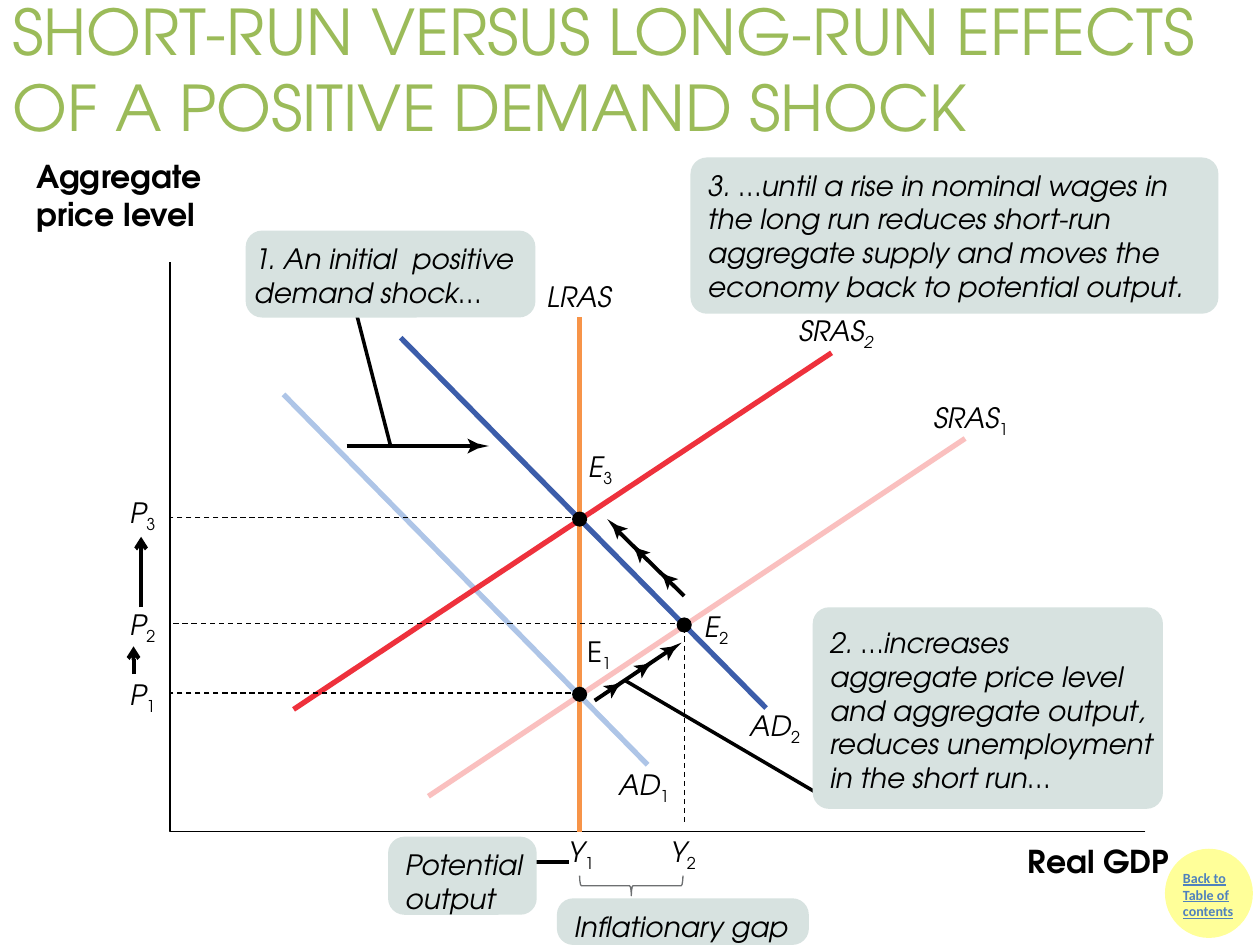
from collections import namedtuple
from math import atan2, cos, sin

from lxml.etree import SubElement
from pptx import Presentation
from pptx.dml.color import RGBColor
from pptx.enum.dml import MSO_LINE
from pptx.enum.shapes import MSO_CONNECTOR, MSO_SHAPE as Preset
from pptx.enum.text import MSO_ANCHOR as Anchor, MSO_AUTO_SIZE as AutoSize
from pptx.oxml.ns import qn
from pptx.util import Inches, Pt

BLACK = RGBColor(0x00, 0x00, 0x00)
GREEN = RGBColor(0x9B, 0xBB, 0x59)
LINK_BLUE = RGBColor(0x4F, 0x81, 0xBD)
YELLOW = RGBColor(0xFF, 0xFF, 0x99)
CALLOUT = RGBColor(0xD7, 0xE2, 0xE0)
ORANGE = RGBColor(0xF7, 0x94, 0x48)
PALE_BLUE = RGBColor(0xAE, 0xC5, 0xE7)
BLUE = RGBColor(0x3C, 0x5D, 0xAA)
PALE_RED = RGBColor(0xFA, 0xC0, 0xBF)
RED = RGBColor(0xEE, 0x31, 0x3C)
GREY = RGBColor(0x6D, 0x6F, 0x71)
FONT = "TeX Gyre Adventor"

Box = namedtuple("Box", "left top width height")


def inside(box, x, y, width=0, height=0):
    return Box(box.left + x, box.top + y, width, height)


def lengths(box):
    return [Inches(value) for value in box]


def add_span(para, text, size=16, color=BLACK, font=FONT, bold=False,
             italic=False, underline=False, subscript=False):
    span = para.add_run()
    span.text = text
    span.font.name = font
    span.font.size = Pt(size)
    span.font.color.rgb = color
    span.font.bold = bold
    span.font.italic = italic
    span.font.underline = underline
    if subscript:
        span.font._element.set("baseline", "-25000")


def add_text(page, box, text, grow=True, anchor=Anchor.TOP, **style):
    shape = page.shapes.add_textbox(*lengths(box))
    frame = shape.text_frame
    frame.word_wrap = True
    frame.auto_size = AutoSize.SHAPE_TO_FIT_TEXT if grow else AutoSize.NONE
    frame.vertical_anchor = anchor
    add_span(frame.paragraphs[0], text, **style)


def add_label(page, box, text, subscript="", italic=True, italic_sub=False):
    frame = page.shapes.add_textbox(*lengths(box)).text_frame
    frame.word_wrap = False
    frame.auto_size = AutoSize.SHAPE_TO_FIT_TEXT
    frame.margin_left = frame.margin_right = 0
    frame.margin_top = frame.margin_bottom = 0
    para = frame.paragraphs[0]
    add_span(para, text, italic=italic)
    if subscript:
        add_span(para, subscript, italic=italic_sub, subscript=True)


def add_line(page, box, start, end, color=BLACK, width=0, dashed=False, arrow=False):
    first, last = inside(box, *start), inside(box, *end)
    line = page.shapes.add_connector(
        MSO_CONNECTOR.STRAIGHT, Inches(first.left), Inches(first.top),
        Inches(last.left), Inches(last.top))
    line.line.color.rgb = color
    line.line.width = Pt(width)
    if dashed:
        line.line.dash_style = MSO_LINE.DASH
    if arrow:
        SubElement(line.line._get_or_add_ln(), qn("a:tailEnd"), type="arrow")
    SubElement(line._element.spPr, qn("a:effectLst"))


def add_solid(page, kind, box, color):
    shape = page.shapes.add_shape(kind, *lengths(box))
    shape.shadow.inherit = False
    shape.fill.solid()
    shape.fill.fore_color.rgb = color
    shape.line.fill.background()
    return shape


def add_path(page, points, closed):
    corners = [(Inches(x), Inches(y)) for x, y in points]
    builder = page.shapes.build_freeform(*corners[0])
    builder.add_line_segments(corners[1:], close=closed)
    shape = builder.convert_to_shape()
    shape.shadow.inherit = False
    return shape


def add_barbed_arrow(page, box, start, end, tips):
    add_line(page, box, start, end, width=2.25)
    angle = atan2(end[1] - start[1], end[0] - start[0])
    outline = [(0, 0), (-0.09, 0.02), (-0.17, 0.06), (-0.14, 0),
               (-0.17, -0.06), (-0.09, -0.02)]
    for tip in tips:
        origin = inside(box, *tip)
        head = add_path(page, [(origin.left + x * cos(angle) - y * sin(angle),
                                origin.top + x * sin(angle) + y * cos(angle))
                               for x, y in outline], True)
        head.fill.solid()
        head.fill.fore_color.rgb = BLACK
        head.line.fill.background()


def add_callout(page, box, lines, left=0.1, top=0.05, right=0.03, numbered=False):
    shape = add_solid(page, Preset.ROUNDED_RECTANGLE, box, CALLOUT)
    shape.adjustments[0] = 0.13 / min(box.width, box.height)
    frame = shape.text_frame
    frame.word_wrap = True
    frame.vertical_anchor = Anchor.TOP
    frame.margin_left, frame.margin_right = Inches(left), Inches(right)
    frame.margin_top, frame.margin_bottom = Inches(top), 0
    for index, text in enumerate(lines):
        para = frame.add_paragraph() if index else frame.paragraphs[0]
        props = para._p.get_or_add_pPr()
        props.set("algn", "l")
        if numbered:
            props.set("marL", str(Inches(0.06)))
            props.set("indent", str(Inches(-0.06)))
            if index == 0:
                SubElement(props, qn("a:buAutoNum"), type="arabicPeriod")
        add_span(para, text, italic=True)


def draw_badge(page, box):
    disc = add_solid(page, Preset.OVAL, box, YELLOW)
    disc.line.color.rgb = YELLOW
    disc.line.width = Pt(2)
    add_text(page, inside(box, 0.03, 0.1, 0.72, 0.67), "Back to Table of contents",
             size=8, color=LINK_BLUE, font="Calibri", bold=True, underline=True)


def draw_axes(page, box):
    bottom = box.top + box.height
    axes = add_path(page, [(box.left + box.width, bottom), (box.left, bottom),
                           (box.left, box.top)], False)
    axes.fill.background()
    axes.line.color.rgb = BLACK
    axes.line.width = Pt(0)
    add_text(page, inside(box, 6.71, 4.55, 1.58, 0.4), "Real GDP", size=18, bold=True)
    add_text(page, inside(box, -1.16, -0.88, 1.69, 0.7), "Aggregate price level",
             size=18, bold=True)


def draw_curves(page, box):
    curves = [
        ("LRAS", "", ORANGE, (3.25, 0.44), (3.25, 4.52), (2.99, 0.14, 0.56, 0.27)),
        ("AD", "1", PALE_BLUE, (3.79, 3.99), (0.9, 1.05), (3.56, 4.01, 0.45, 0.27)),
        ("SRAS", "1", PALE_RED, (2.05, 4.24), (6.31, 1.4), (6.06, 1.1, 0.64, 0.27)),
        ("SRAS", "2", RED, (0.98, 3.55), (5.25, 0.72), (4.99, 0.41, 0.64, 0.27)),
        ("AD", "2", BLUE, (4.73, 3.54), (1.83, 0.6), (4.6, 3.54, 0.45, 0.27)),
    ]
    for name, number, color, start, end, place in curves:
        add_line(page, box, start, end, color, 3)
        add_label(page, inside(box, *place), name, number,
                  italic_sub=color == RED)


def draw_equilibria(page, box):
    points = [("1", 3.25, 3.43, 3.31, 2.96, 3.3), ("2", 4.08, 2.88, 4.24, 2.76, 2.74),
              ("3", 3.25, 2.04, 3.32, 1.49, 1.85)]
    for number, x, y, label_x, label_y, price_y in points:
        add_line(page, box, (x, y - 0.01), (0, y - 0.01), width=0.75, dashed=True)
        add_label(page, inside(box, label_x, label_y, 0.23, 0.27), "E", number,
                  italic=number != "1")
        add_label(page, inside(box, -0.32, price_y, 0.25, 0.27), "P", number)
    add_line(page, box, (4.08, 2.9), (4.08, 4.47), width=0.75, dashed=True)
    for number, x in (("1", 3.16), ("2", 3.97)):
        add_label(page, inside(box, x, 4.54, 0.25, 0.27), "Y", number)
    for number, x, y, *_ in points:
        add_solid(page, Preset.OVAL, inside(box, x - 0.06, y - 0.06, 0.12, 0.12), BLACK)


def draw_movements(page, box):
    add_line(page, box, (-0.23, 2.74), (-0.23, 2.18), width=2.25, arrow=True)
    add_line(page, box, (-0.29, 3.27), (-0.29, 3.05), width=2.25, arrow=True)
    add_barbed_arrow(page, box, (1.4, 1.46), (2.41, 1.46), [(2.53, 1.46)])
    add_barbed_arrow(page, box, (4.08, 2.65), (3.56, 2.14),
                     [(3.47, 2.04), (3.65, 2.23), (3.87, 2.44)])
    add_barbed_arrow(page, box, (3.37, 3.48), (3.95, 3.09),
                     [(4.06, 3.02), (3.85, 3.16), (3.61, 3.32)])


def draw_callouts(page, box):
    for start, end in (((1.75, 1.46), (1.42, 0.18)), ((5.11, 4.2), (3.61, 3.32)),
                       ((2.9, 4.76), (3.17, 4.76))):
        add_line(page, box, start, end)
    brace = page.shapes.add_shape(Preset.RIGHT_BRACE,
                                  *lengths(inside(box, 3.58, 4.54, 0.16, 0.82)))
    brace.rotation = 90
    brace.shadow.inherit = False
    brace.fill.background()
    brace.line.color.rgb = GREY
    brace.line.width = Pt(0)
    add_callout(page, inside(box, 0.6, -0.25, 2.3, 0.69),
                [" An initial  positive", "demand shock…"], left=0.03, numbered=True)
    add_callout(page, inside(box, 5.1, 2.74, 2.78, 1.6),
                ["2. …increases", "aggregate price level", "and aggregate output,",
                 "reduces unemployment in the short run…"], top=0.11)
    add_callout(page, inside(box, 4.13, -0.83, 4.19, 1.24),
                ["3. …until a rise in nominal wages in the long run reduces short-run "
                 "aggregate supply and moves the economy back to potential output."],
                right=0.18)
    add_callout(page, inside(box, 1.73, 4.56, 1.18, 0.62), ["Potential", "output"])
    add_callout(page, inside(box, 3.07, 5.05, 2, 0.37), ["Inflationary gap"])


def main():
    deck = Presentation()
    deck.slide_width, deck.slide_height = Inches(10), Inches(7.5)
    page = deck.slides.add_slide(deck.slide_layouts[6])
    graph = Box(1.35, 2.08, 7.74, 4.52)
    draw_badge(page, Box(9.26, 6.75, 0.67, 0.68))
    for draw in (draw_axes, draw_curves, draw_movements, draw_callouts, draw_equilibria):
        draw(page, graph)
    add_text(page, Box(0, 0.08, 10, 0.92),
             "SHORT-RUN VERSUS LONG-RUN EFFECTS OF A POSITIVE DEMAND SHOCK",
             grow=False, anchor=Anchor.MIDDLE, size=36, color=GREEN)
    deck.save("out.pptx")


if __name__ == "__main__":
    main()
